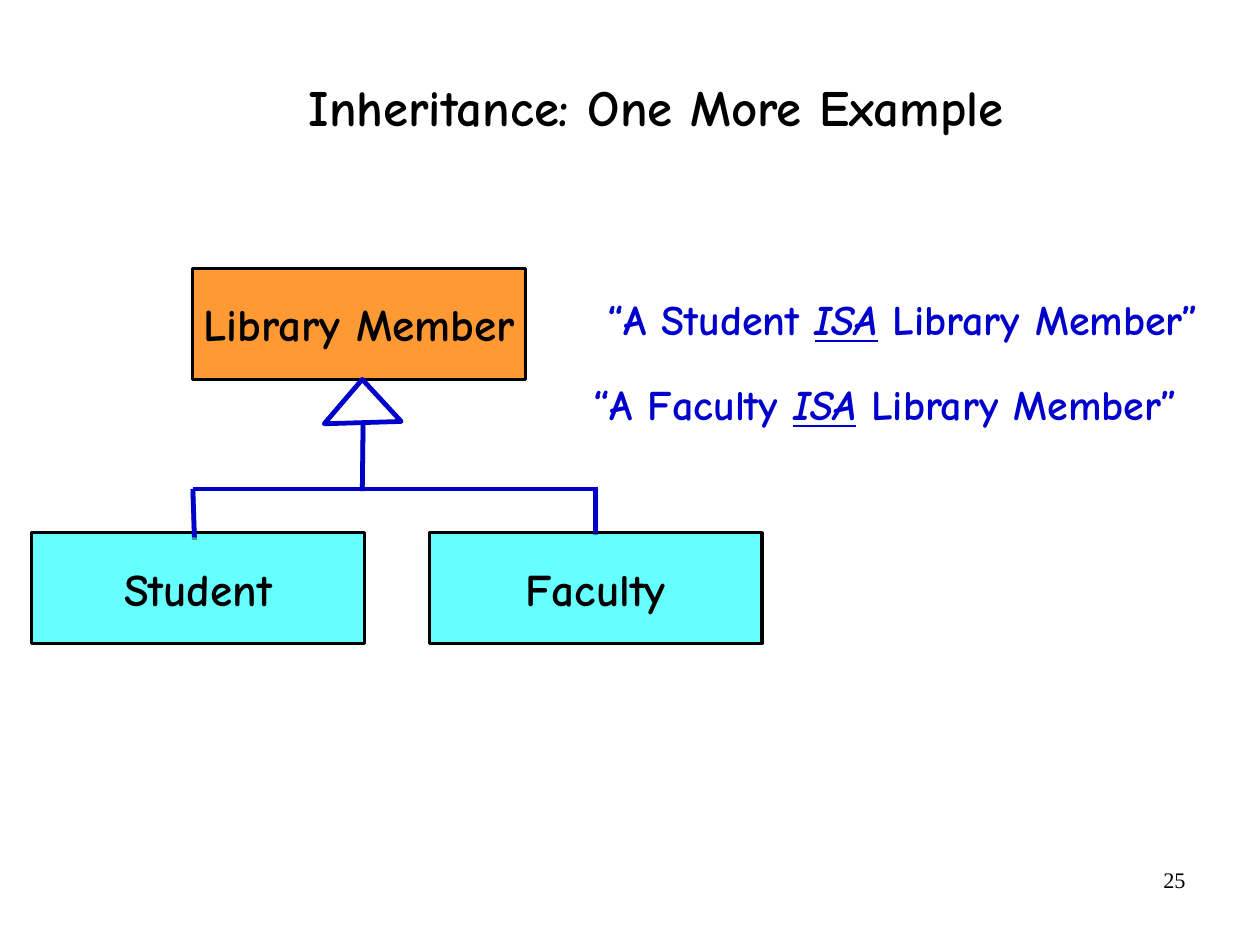
from pptx import Presentation
from pptx.dml.color import RGBColor
from pptx.enum.shapes import MSO_CONNECTOR, MSO_SHAPE
from pptx.enum.text import MSO_ANCHOR, PP_ALIGN
from pptx.oxml import parse_xml
from pptx.oxml.ns import nsdecls
from pptx.util import Pt

FONT = "Comic Neue"
BLACK, BLUE, ORANGE, CYAN = "000000", "0000CC", "FF9933", "66FFFF"
SHADOW = ('<a:outerShdw blurRad="0" dist="20320" dir="5400000">'
          '<a:srgbClr val="000000"><a:alpha val="38000"/></a:srgbClr></a:outerShdw>')


def color(code):
    return RGBColor.from_string(code)


def setup(frame, side=6, top=3, anchor=MSO_ANCHOR.TOP, wrap=True):
    frame.margin_left = frame.margin_right = Pt(side)
    frame.margin_top = frame.margin_bottom = Pt(top)
    frame.vertical_anchor = anchor
    frame.word_wrap = wrap


def add_run(para, text, size, code=BLACK, face=FONT, bold=True, mark=False):
    run = para.add_run()
    run.text = text
    font = run.font
    font.name, font.size, font.bold = face, Pt(size), bold
    font.color.rgb = color(code)
    if mark:
        font.italic = font.underline = True


def stroke(line, code, width):
    line.color.rgb = color(code)
    line.width = Pt(width)


def add_title(slide, box, text):
    title = slide.shapes.title
    title.left, title.top, title.width, title.height = map(Pt, box)
    setup(title.text_frame, 0, 0, MSO_ANCHOR.MIDDLE)
    para = title.text_frame.paragraphs[0]
    para.alignment = PP_ALIGN.CENTER
    para.line_spacing = 0.88
    add_run(para, text, 32)


def add_class(slide, box, name, fill):
    rect = slide.shapes.add_shape(MSO_SHAPE.RECTANGLE, *map(Pt, box))
    rect.shadow.inherit = False
    rect.fill.solid()
    rect.fill.fore_color.rgb = color(fill)
    stroke(rect.line, BLACK, 2)
    setup(rect.text_frame, anchor=MSO_ANCHOR.MIDDLE, wrap=False)
    para = rect.text_frame.paragraphs[0]
    para.alignment = PP_ALIGN.CENTER
    add_run(para, name, 28.5)
    return rect


def add_line(slide, start, end, shade=SHADOW):
    line = slide.shapes.add_connector(
        MSO_CONNECTOR.STRAIGHT, *map(Pt, start + end))
    stroke(line.line, BLUE, 3)
    effect = f'<a:effectLst {nsdecls("a")}>{shade}</a:effectLst>'
    line._element.spPr.append(parse_xml(effect))
    return line


def add_arrow(slide, x, y):
    """Hollow inheritance arrowhead with its tip at x, y."""
    build = slide.shapes.build_freeform(Pt(x), Pt(y), scale=1.0)
    corners = [(x - 24, y + 28), (x + 24.5, y + 26.5)]
    build.add_line_segments([(Pt(a), Pt(b)) for a, b in corners], close=True)
    head = build.convert_to_shape()
    head.shadow.inherit = False
    head.fill.background()
    stroke(head.line, BLUE, 3)


def add_tree(slide, box):
    left, top, wide, high = box
    base = top + 166.5   # top of the subclasses
    bus = top + 139      # height of the shared line
    mid = left + 208.25  # stem
    start = left + 101.5

    # Classes
    add_class(slide, (left + 101.5, top, wide, high), "Library Member", ORANGE)
    add_class(slide, (left, base, wide, high), "Student", CYAN)
    faculty = add_class(slide, (left + 250.5, base, wide, high), "Faculty", CYAN)

    # Stem and arrowhead
    add_line(slide, (mid, bus), (mid + 0.5, top + 97.5))
    add_arrow(slide, mid, top + high)

    # Shared line and drops
    add_line(slide, (start, bus), (left + 357, bus), "")
    end = left + 250.5 + wide / 2
    drop = add_line(slide, (end, base), (end, bus - 1.5))
    drop.begin_connect(faculty, 0)
    add_line(slide, (start + 1, base + 3), (start, bus))


def add_quote(slide, box, name):
    text = slide.shapes.add_textbox(*map(Pt, box))
    setup(text.text_frame)
    para = text.text_frame.paragraphs[0]
    para.alignment = PP_ALIGN.CENTER
    add_run(para, f"“A {name} ", 26.5, BLUE)
    add_run(para, "ISA", 26.5, BLUE, mark=True)
    add_run(para, " Library Member”", 26.5, BLUE)


def add_number(slide, box, text):
    number = slide.shapes.add_textbox(*map(Pt, box))
    setup(number.text_frame, 7.2, 3.6)
    para = number.text_frame.paragraphs[0]
    para.alignment = PP_ALIGN.RIGHT
    add_run(para, text, 14, face="Times New Roman", bold=False)


def main():
    prs = Presentation()
    prs.slide_width, prs.slide_height = Pt(793.75), Pt(595.25)
    slide = prs.slides.add_slide(prs.slide_layouts[5])
    add_title(slide, (81.5, 32.5, 664, 74), "Inheritance: One More Example")
    add_tree(slide, (20, 169, 209.5, 70))
    add_quote(slide, (344, 182, 450, 38), "Student")
    add_quote(slide, (328.5, 235.5, 458.5, 38), "Faculty")
    add_number(slide, (569, 542, 185, 41), "25")
    prs.save("out.pptx")


if __name__ == "__main__":
    main()
